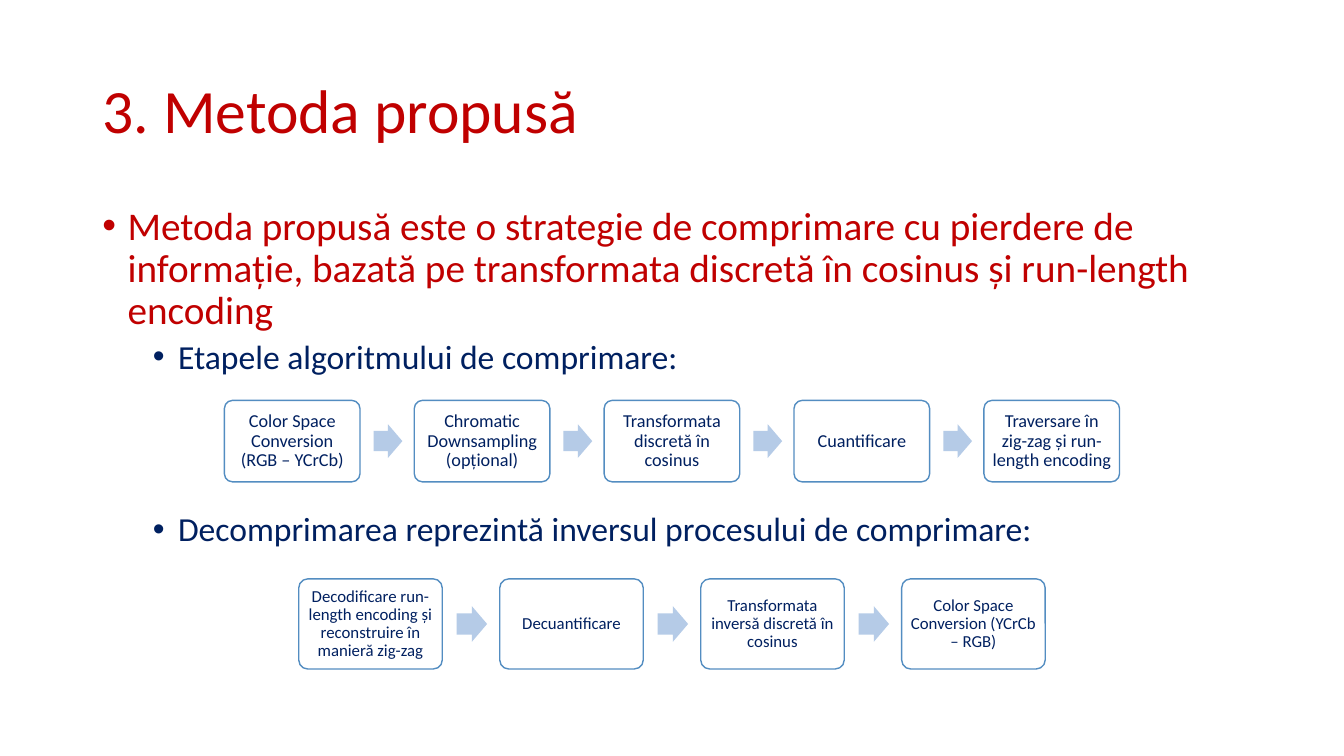
"""Build the slide on the proposed compression method."""
import lxml.etree
import pptx
import pptx.dml.color
import pptx.enum.shapes
import pptx.enum.text
import pptx.oxml.ns
import pptx.util

Pt = pptx.util.Pt
RGBColor = pptx.dml.color.RGBColor
Shapes = pptx.enum.shapes.MSO_SHAPE
Align = pptx.enum.text.PP_ALIGN
Anchor = pptx.enum.text.MSO_ANCHOR

RED = RGBColor(0xC0, 0x00, 0x00)
NAVY = RGBColor(0x00, 0x20, 0x60)
WHITE = RGBColor(0xFF, 0xFF, 0xFF)
OUTLINE = RGBColor(0x53, 0x8D, 0xC1)
ARROW = RGBColor(0xB5, 0xCB, 0xE7)
FONT = "Calibri"

TITLE = "3. Metoda propusă"
POINTS = [
    ("Metoda propusă este o strategie de comprimare cu pierdere de informație, "
     "bazată pe transformata discretă în cosinus și run-length encoding", 0, 28, RED, 10),
    ("Etapele algoritmului de comprimare:", 1, 24, NAVY, 5),
    ("Decomprimarea reprezintă inversul procesului de comprimare:", 1, 24, NAVY, 97),
]
COMPRESSION = [
    "Color Space Conversion (RGB – YCrCb)",
    "Chromatic Downsampling (opțional)",
    "Transformata discretă în cosinus",
    "Cuantificare",
    "Traversare în zig-zag și run-length encoding",
]
DECOMPRESSION = [
    "Decodificare run-length encoding și reconstruire în manieră zig-zag",
    "Decuantificare",
    "Transformata inversă discretă în cosinus",
    "Color Space Conversion (YCrCb – RGB)",
]


def apply(target, formats):
    """Set every attribute named in the dict."""
    for name, value in formats.items():
        setattr(target, name, value)


def place(shape, box):
    """Move a shape to a box given in points."""
    apply(shape, dict(zip(("left", "top", "width", "height"), map(Pt, box))))


def write(para, text, size, color, **formats):
    """Fill a paragraph with one formatted span."""
    apply(para, {"line_spacing": 0.9, **formats})
    span = para.add_run()
    span.text = text
    apply(span.font, {"name": FONT, "size": Pt(size)})
    span.font.color.rgb = color


def add_bullet(para, margin):
    """Give a paragraph a round bullet with a hanging indent."""
    properties = para._p.get_or_add_pPr()
    properties.set("marL", str(Pt(margin)))
    properties.set("indent", str(Pt(-18)))
    for tag, key, value in (("a:buFont", "typeface", "Arial"), ("a:buChar", "char", "•")):
        lxml.etree.SubElement(properties, pptx.oxml.ns.qn(tag)).set(key, value)


def fill_title(page, box):
    """Write the slide title."""
    title = page.shapes.title
    place(title, box)
    apply(title.text_frame, {"vertical_anchor": Anchor.MIDDLE,
                             "auto_size": pptx.enum.text.MSO_AUTO_SIZE.NONE})
    write(title.text_frame.paragraphs[0], TITLE, 44, RED, alignment=Align.LEFT)


def fill_body(page, box):
    """Write the bulleted list."""
    body = page.placeholders[1]
    place(body, box)
    frame = body.text_frame
    frame.auto_size = pptx.enum.text.MSO_AUTO_SIZE.NONE
    for index, (text, level, size, color, gap) in enumerate(POINTS):
        para = frame.add_paragraph() if index else frame.paragraphs[0]
        write(para, text, size, color, level=level, space_before=Pt(gap))
        add_bullet(para, 18 + 36 * level)


def add_solid(page, kind, box, color, adjustments):
    """Add a flat preset shape without an outline."""
    shape = page.shapes.add_shape(kind, *map(Pt, box))
    place(shape, box)
    shape.shadow.inherit = False
    shape.fill.solid()
    shape.fill.fore_color.rgb = color
    shape.line.fill.background()
    for index, value in enumerate(adjustments):
        shape.adjustments[index] = value
    return shape


def add_flow(page, box, steps, size):
    """Spread steps across the box with an arrow in every gap."""
    left, top, width, height = box
    step_width = width / (1.4 * len(steps) - 0.4)
    arrow_width, arrow_height = 0.212 * step_width, 0.248 * step_width
    for index, text in enumerate(steps):
        x = left + 1.4 * step_width * index
        if index:
            arrow_box = (x - 0.3 * step_width, top + (height - arrow_height) / 2,
                         arrow_width, arrow_height)
            add_solid(page, Shapes.RIGHT_ARROW, arrow_box, ARROW, (0.6, 0.5))
        step = add_solid(page, Shapes.ROUNDED_RECTANGLE,
                         (x, top, step_width, height), WHITE, (0.1,))
        step.line.color.rgb = OUTLINE
        step.line.width = Pt(1)
        margins = {f"margin_{side}": Pt(3.6) for side in ("left", "top", "right", "bottom")}
        apply(step.text_frame, {"word_wrap": True, "vertical_anchor": Anchor.MIDDLE, **margins})
        write(step.text_frame.paragraphs[0], text, size, NAVY, alignment=Align.CENTER)


def main():
    """Assemble and save the deck."""
    deck = pptx.Presentation()
    apply(deck, {"slide_width": Pt(960), "slide_height": Pt(540)})
    page = deck.slides.add_slide(deck.slide_layouts[1])
    fill_title(page, (66, 28.75, 828, 104.4))
    fill_body(page, (66, 143.75, 828, 342.6))
    add_flow(page, (160.3, 286, 639.4, 58.2), COMPRESSION, 13)
    add_flow(page, (213.4, 413.5, 533.2, 64.4), DECOMPRESSION, 12)
    deck.save("out.pptx")


main()
